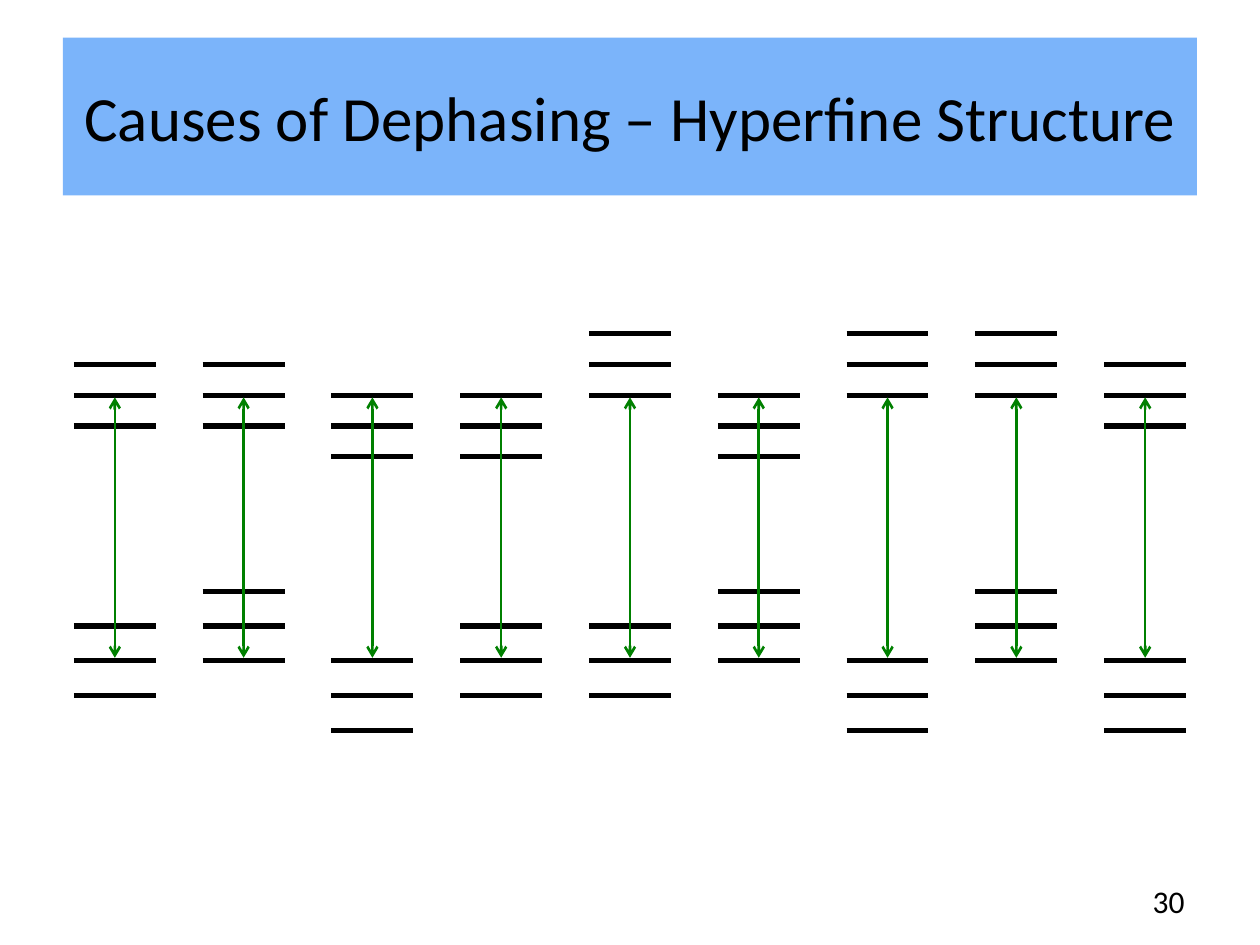
from lxml import etree
from pptx import Presentation
from pptx.dml.color import RGBColor
from pptx.enum.shapes import MSO_CONNECTOR, MSO_SHAPE
from pptx.enum.text import MSO_ANCHOR, PP_ALIGN
from pptx.oxml.ns import qn
from pptx.util import Cm, Pt

BLACK = RGBColor(0x00, 0x00, 0x00)
GREEN = RGBColor(0x00, 0x80, 0x00)
SKY = RGBColor(0x7B, 0xB4, 0xFA)
FONT = "Calibri"

# For each ion: how many levels lie above the one the light drives (upper, lower)
DRIVEN_LEVELS = [(1, 1), (1, 2), (0, 0), (0, 1), (2, 1), (0, 2), (2, 0), (2, 2), (1, 0)]
LEVELS_PER_STATE = 3
UPPER_GAP, LOWER_GAP = 0.62, 0.7
LEVEL_WIDTH = 1.65


def add_line(shapes, start, end, color, weight):
    line = shapes.add_connector(MSO_CONNECTOR.STRAIGHT, *map(Cm, start + end))
    line.line.color.rgb = color
    line.line.width = Pt(weight)
    etree.SubElement(line._element.spPr, qn("a:effectLst"))
    return line


def add_arrowheads(line):
    outline = line.line._get_or_add_ln()
    for end in ("a:headEnd", "a:tailEnd"):
        etree.SubElement(outline, qn(end), type="arrow")


def write_text(frame, text, size, align):
    frame.word_wrap = True
    frame.vertical_anchor = MSO_ANCHOR.MIDDLE
    frame.text = text
    paragraph = frame.paragraphs[0]
    paragraph.alignment = align
    font = paragraph.runs[0].font
    font.name, font.size, font.color.rgb = FONT, Pt(size), BLACK


def add_title(slide, left, top, width, height):
    banner = slide.shapes.add_shape(MSO_SHAPE.RECTANGLE, *map(Cm, (left, top, width, height)))
    banner.shadow.inherit = False
    banner.fill.solid()
    banner.fill.fore_color.rgb = SKY
    banner.line.fill.background()
    write_text(banner.text_frame, "Causes of Dephasing – Hyperfine Structure", 36, PP_ALIGN.CENTER)


def add_ion(slide, left, top, height, upper_above, lower_above):
    """Draw one ion; top and top + height are its two driven levels."""
    shapes = slide.shapes.add_group_shape().shapes
    states = [(top + height, LOWER_GAP, lower_above), (top, UPPER_GAP, upper_above)]
    for driven_y, gap, above in states:
        for level in range(LEVELS_PER_STATE):
            y = driven_y + (level - above) * gap
            add_line(shapes, (left, y), (left + LEVEL_WIDTH, y), BLACK, 3)
    # Driven transition
    center = left + LEVEL_WIDTH / 2
    add_arrowheads(add_line(shapes, (center, top + 0.04), (center, top + height - 0.06), GREEN, 1.5))


def add_ions(slide, left, top, width, height):
    pitch = (width - LEVEL_WIDTH) / (len(DRIVEN_LEVELS) - 1)
    for column, (upper_above, lower_above) in enumerate(DRIVEN_LEVELS):
        add_ion(slide, left + column * pitch, top, height, upper_above, lower_above)


def add_page_number(slide, left, top, width, height):
    number = slide.shapes.add_textbox(*map(Cm, (left, top, width, height)))
    write_text(number.text_frame, "30", 18, PP_ALIGN.RIGHT)


def main():
    deck = Presentation()
    deck.slide_width, deck.slide_height = Cm(25.4), Cm(19.05)
    slide = deck.slides.add_slide(deck.slide_layouts[6])
    add_ions(slide, 1.49, 7.97, 22.42, 5.35)
    add_title(slide, 1.27, 0.76, 22.86, 3.18)
    add_page_number(slide, 18.2, 17.66, 5.93, 1.01)
    deck.save("out.pptx")


if __name__ == "__main__":
    main()
